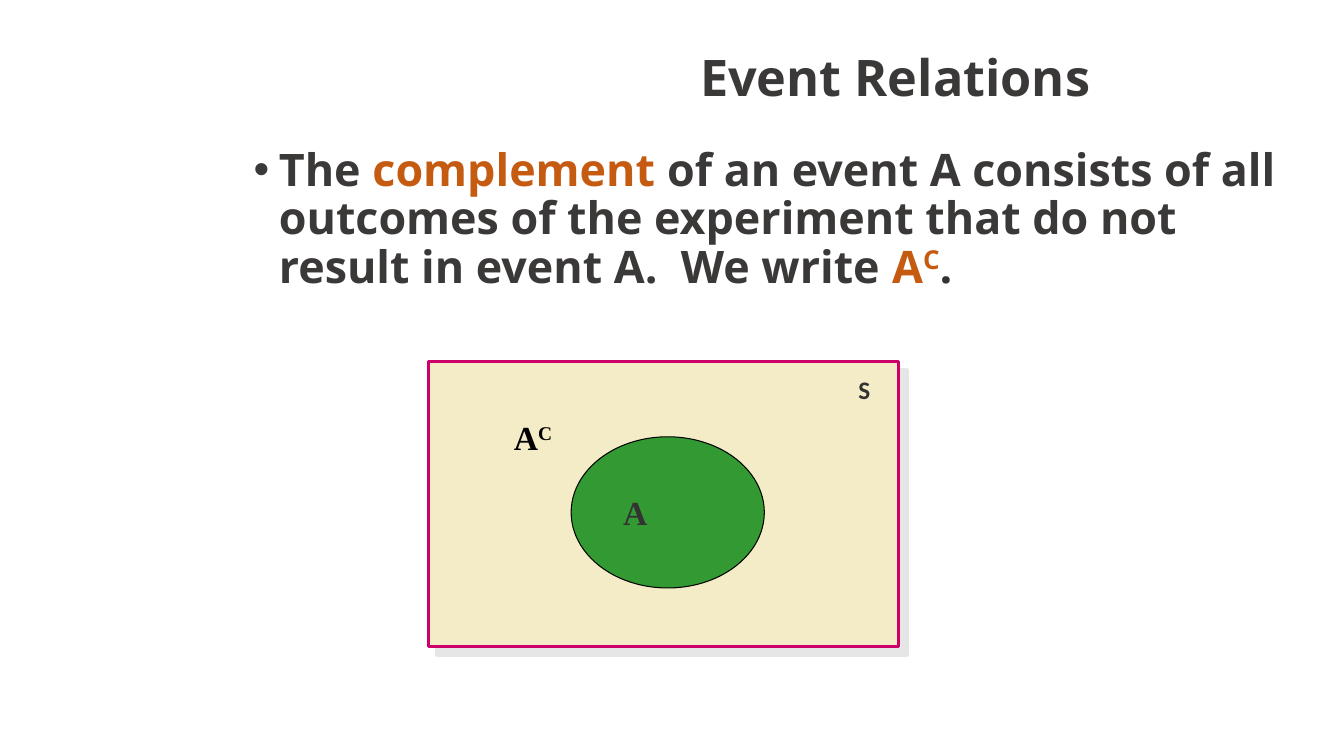
from lxml import etree
from pptx import Presentation
from pptx.dml.color import RGBColor
from pptx.enum.shapes import MSO_SHAPE
from pptx.enum.text import MSO_ANCHOR, MSO_AUTO_SIZE, PP_ALIGN
from pptx.oxml import parse_xml
from pptx.oxml.ns import nsdecls, qn
from pptx.util import Pt

RECTANGLE, OVAL = MSO_SHAPE.RECTANGLE, MSO_SHAPE.OVAL
MIDDLE = MSO_ANCHOR.MIDDLE
NO_AUTOFIT, GROW = MSO_AUTO_SIZE.NONE, MSO_AUTO_SIZE.SHAPE_TO_FIT_TEXT
RIGHT = PP_ALIGN.RIGHT

CHARCOAL = RGBColor(0x3B, 0x38, 0x38)
LABEL_GRAY = RGBColor(0x33, 0x33, 0x33)
BLACK = RGBColor(0, 0, 0)
ORANGE = RGBColor(0xC5, 0x5A, 0x11)
CREAM = RGBColor(0xF4, 0xEC, 0xC6)
MAGENTA = RGBColor(0xCC, 0x00, 0x66)
GREEN = RGBColor(0x33, 0x99, 0x33)
SHADOW_GRAY = RGBColor(0xE7, 0xE6, 0xE6)

HEADING_FONT, SET_FONT, SPACE_FONT = "Open Sans", "Times New Roman", "Calibri"


def place(shape, left, top, width, height):
    shape.left, shape.top = Pt(left), Pt(top)
    shape.width, shape.height = Pt(width), Pt(height)


def add_run(paragraph, text, font_name, size, color, superscript=False):
    run = paragraph.add_run()
    run.text = text
    run.font.name, run.font.size, run.font.bold = font_name, Pt(size), True
    run.font.color.rgb = color
    if superscript:
        run.font._element.set("baseline", "30000")


def add_bullet(paragraph, indent):
    properties = paragraph._p.get_or_add_pPr()
    properties.set("marL", str(Pt(indent)))
    properties.set("indent", str(-Pt(indent)))
    etree.SubElement(properties, qn("a:buFont")).set("typeface", "Arial")
    etree.SubElement(properties, qn("a:buChar")).set("char", "•")


def add_offset_shadow(shape, distance, color):
    """Add a hard shadow to the lower right."""
    shape._element.spPr.append(parse_xml(
        f'<a:effectLst {nsdecls("a")}><a:outerShdw blurRad="0" dist="{Pt(distance)}" '
        f'dir="2700000" algn="ctr" rotWithShape="0"><a:srgbClr val="{color}"/>'
        '</a:outerShdw></a:effectLst>'))


def add_region(shapes, kind, box, fill, line, line_width):
    region = shapes.add_shape(kind, *map(Pt, box))
    region.fill.solid()
    region.fill.fore_color.rgb = fill
    region.line.color.rgb = line
    region.line.width = Pt(line_width)
    return region


def add_label(shapes, box, text, font_name, size, color, superscript=""):
    text_frame = shapes.add_textbox(*map(Pt, box)).text_frame
    text_frame.word_wrap = True
    text_frame.auto_size = GROW
    paragraph = text_frame.paragraphs[0]
    add_run(paragraph, text, font_name, size, color)
    if superscript:
        add_run(paragraph, superscript, font_name, size, color, True)


def fill_title(title, left, top, width, height):
    place(title, left, top, width, height)
    text_frame = title.text_frame
    text_frame.auto_size = NO_AUTOFIT
    text_frame.vertical_anchor = MIDDLE
    paragraph = text_frame.paragraphs[0]
    paragraph.alignment = RIGHT
    paragraph.line_spacing = 0.9
    add_run(paragraph, "Event Relations", HEADING_FONT, 36, CHARCOAL)


def fill_definition(body, left, top, width, height):
    place(body, left, top, width, height)
    body.text_frame.auto_size = NO_AUTOFIT
    paragraph = body.text_frame.paragraphs[0]
    paragraph.line_spacing = 0.9
    paragraph.space_before = Pt(0)
    add_bullet(paragraph, 18)
    for text, color, superscript in (
        ("The ", CHARCOAL, False),
        ("complement ", ORANGE, False),
        ("of an event A consists of all outcomes of the experiment that do not "
         "result in event A.  We write ", CHARCOAL, False),
        ("A", ORANGE, False),
        ("C", ORANGE, True),
        (".", LABEL_GRAY, False),
    ):
        add_run(paragraph, text, HEADING_FONT, 32, color, superscript)


def add_venn_diagram(slide, left, top, width, height):
    sample_space = slide.shapes.add_group_shape().shapes
    rectangle = add_region(sample_space, RECTANGLE, (left, top, width, height),
                           CREAM, MAGENTA, 2.25)
    add_offset_shadow(rectangle, 8.5, SHADOW_GRAY)
    add_label(sample_space, (left + width - 36, top + 6, 36, 29),
              "S", SPACE_FONT, 18, LABEL_GRAY)

    event = slide.shapes.add_group_shape().shapes
    ellipse = add_region(event, OVAL, (left + 102, top + 54, 138, 108),
                         GREEN, BLACK, 0.75)
    ellipse.shadow.inherit = False
    add_label(event, (left + 132, top + 90, 30, 36), "A", SET_FONT, 24, LABEL_GRAY)

    add_label(slide.shapes, (left + 54, top + 36, 48, 36),
              "A", SET_FONT, 24, BLACK, superscript="C")


def main():
    presentation = Presentation()
    presentation.slide_width, presentation.slide_height = Pt(960), Pt(540)
    slide = presentation.slides.add_slide(presentation.slide_layouts[1])
    fill_title(slide.shapes.title, 174, 12, 612, 90)
    fill_definition(slide.placeholders[1], 174, 102, 746, 144)
    add_venn_diagram(slide, 306, 258, 336, 204)
    presentation.save("out.pptx")


if __name__ == "__main__":
    main()
